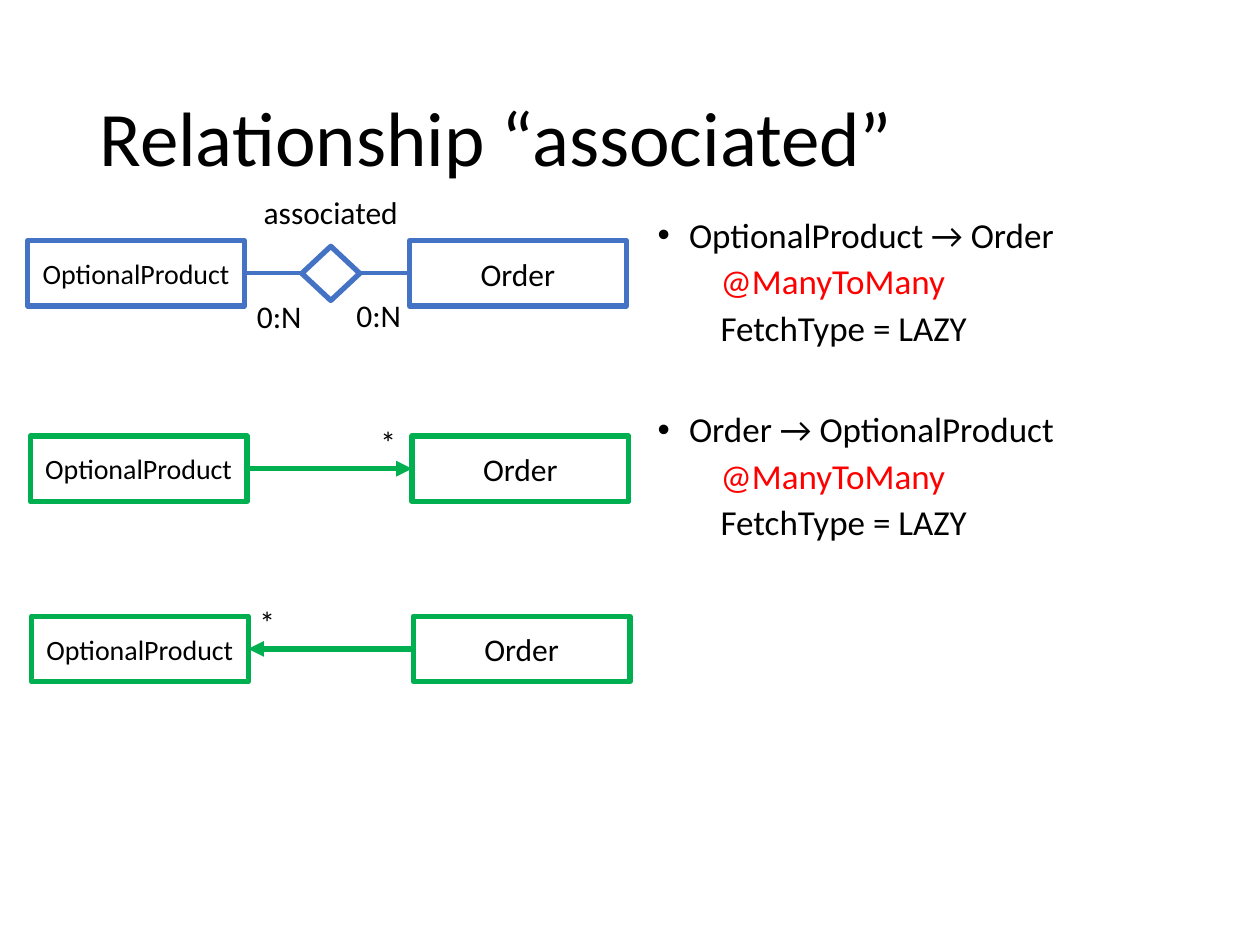
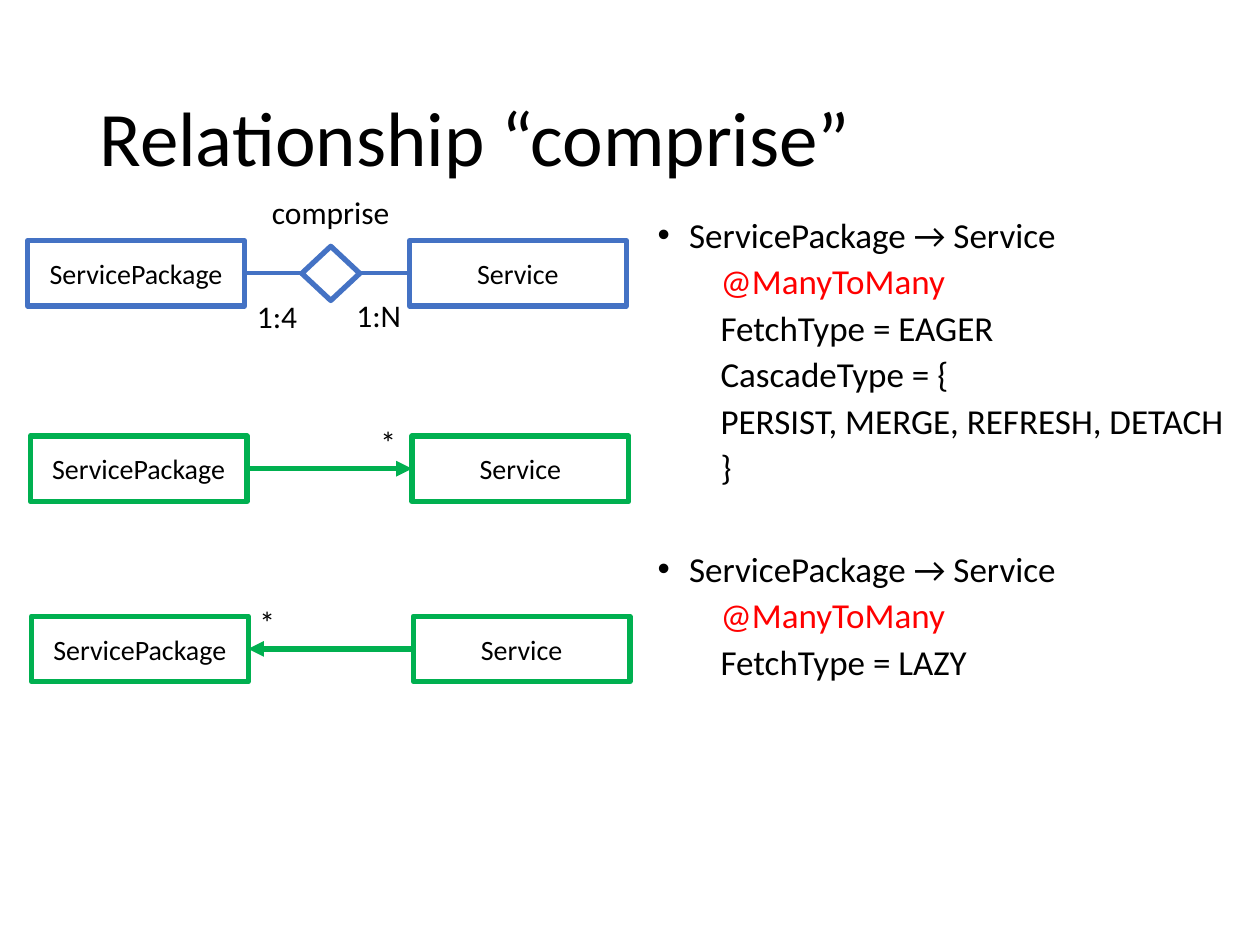
"""Builds two slides that map entity relationships to JPA annotations."""
import pptx
import pptx.dml.color
import pptx.enum.shapes
import pptx.enum.text
import pptx.oxml.ns
import pptx.util
from lxml import etree

PX = 9144
FONT = "Calibri"
COLORS = {"text": "000000", "accent": "FF0000", "paper": "FFFFFF",
          "entity": "4472C4", "object": "00B050"}
BOX_W, BOX_H, BOX_STEP = 172, 52, 303
TITLE_BOX = (69, 40, 862, 145)
ALIGN = pptx.enum.text.PP_ALIGN
ANCHOR = pptx.enum.text.MSO_ANCHOR
FIT = pptx.enum.text.MSO_AUTO_SIZE
SHAPE = pptx.enum.shapes.MSO_SHAPE


def emu(*lengths):
    """Turn px lengths into EMU."""
    return [pptx.util.Emu(n * PX) for n in lengths]


def rgb(name):
    """Look up a palette colour."""
    return pptx.dml.color.RGBColor.from_string(COLORS[name])


def style(p, size, color="text", align=ALIGN.LEFT):
    """Format a paragraph and its runs."""
    p.alignment = align
    for r in p.runs:
        r.font.name = FONT
        r.font.size = pptx.util.Pt(size)
        r.font.color.rgb = rgb(color)


def add_outline(s, kind, box, color, fill=None):
    """Add a preset shape with a thick outline."""
    sp = s.shapes.add_shape(kind, *emu(*box))
    sp.shadow.inherit = False
    if fill:
        sp.fill.solid()
        sp.fill.fore_color.rgb = rgb(fill)
    else:
        sp.fill.background()
    sp.line.color.rgb = rgb(color)
    sp.line.width = pptx.util.Pt(3)
    return sp


def add_line(s, x1, x2, y, color, width, arrow=False):
    """Add a horizontal line, optionally with an arrowhead at x2."""
    cx = s.shapes.add_connector(pptx.enum.shapes.MSO_CONNECTOR.STRAIGHT,
                                *emu(x1, y, x2, y))
    cx.line.color.rgb = rgb(color)
    cx.line.width = pptx.util.Pt(width)
    if arrow:
        etree.SubElement(cx.line._get_or_add_ln(),
                         pptx.oxml.ns.qn("a:tailEnd"), type="triangle")
    etree.SubElement(cx._element.spPr, pptx.oxml.ns.qn("a:effectLst"))


def add_label(s, text, x, y, w, align=ALIGN.LEFT):
    """Add a one-line label."""
    tf = s.shapes.add_textbox(*emu(x, y, w, 40)).text_frame
    tf.word_wrap = False
    tf.auto_size = FIT.SHAPE_TO_FIT_TEXT
    tf.text = text
    style(tf.paragraphs[0], 18, align=align)


def add_pair(s, x, y, entities, color, fill=None):
    """Add the two named boxes of a diagram row."""
    for i, (name, size) in enumerate(entities):
        box = (x + i * BOX_STEP, y, BOX_W, BOX_H)
        tf = add_outline(s, SHAPE.RECTANGLE, box, color, fill).text_frame
        tf.word_wrap = True
        tf.vertical_anchor = ANCHOR.MIDDLE
        tf.text = name
        style(tf.paragraphs[0], size, align=ALIGN.CENTER)


def add_er_row(s, x, y, entities, relation, counts):
    """Add the entity-relationship row with its diamond and cardinalities."""
    add_pair(s, x, y, entities, "entity", "paper")
    diamond = add_outline(s, SHAPE.DIAMOND, (x + 219, y + 3, 43, 46),
                          "entity", "paper")
    diamond.rotation = 90
    mid = y + BOX_H // 2
    add_line(s, x + BOX_W, x + 218, mid, "entity", 2.25)
    add_line(s, x + 264, x + BOX_STEP, mid, "entity", 2.25)
    add_label(s, counts[0], x + BOX_W, y + 40, 56)
    add_label(s, counts[1], x + 251, y + 39, 56)
    add_label(s, relation, x + 177, y - 43, 127, ALIGN.CENTER)


def add_reference_row(s, x, y, entities, forward):
    """Add an object row whose arrow points to the referenced side."""
    add_pair(s, x, y, entities, "object")
    ends = (x + BOX_W, x + BOX_STEP)
    start, end = ends if forward else ends[::-1]
    add_line(s, start, end, y + BOX_H // 2, "object", 3, arrow=True)
    add_label(s, "*", x + 268 if forward else x + BOX_W - 1, y - 15, 33)


def add_mappings(s, box, mappings):
    """Add the bulleted directions with their indented settings."""
    tf = s.shapes.add_textbox(*emu(*box)).text_frame
    tf.word_wrap = True
    rows = [(i, j, line) for i, lines in enumerate(mappings)
            for j, line in enumerate(lines)]
    tf.text = "\n".join(line for _, _, line in rows)
    for p, (i, j, line) in zip(tf.paragraphs, rows):
        style(p, 20, "accent" if line.startswith("@") else "text")
        p.line_spacing = 0.9
        pPr = p._p.get_or_add_pPr()
        if j:
            p.level = 1
            p.space_before = pptx.util.Pt(5)
            margin, indent = emu(50, 0)
        else:
            p.space_before = pptx.util.Pt(36.5 if i else 10)
            margin, indent = emu(25, -25)
            etree.SubElement(pPr, pptx.oxml.ns.qn("a:buFont"), typeface="Arial")
            etree.SubElement(pPr, pptx.oxml.ns.qn("a:buChar"), char="•")
        pPr.set("marL", str(margin))
        pPr.set("indent", str(indent))


def add_title(s, text):
    """Place and format the title placeholder."""
    sp = s.shapes.title
    sp.left, sp.top, sp.width, sp.height = emu(*TITLE_BOX)
    tf = sp.text_frame
    tf.text = text
    tf.auto_size = FIT.NONE
    tf.vertical_anchor = ANCHOR.MIDDLE
    p = tf.paragraphs[0]
    p.line_spacing = 0.9
    style(p, 44)


def add_relationship_slide(prs, relation, entities, counts, mappings, text_w):
    """Add one relationship slide."""
    s = prs.slides.add_slide(prs.slide_layouts[5])
    add_title(s, f"Relationship “{relation}”")
    add_mappings(s, (512, 168, text_w, 476), mappings)
    add_er_row(s, 22, 191, entities, relation, counts)
    add_reference_row(s, 24, 346, entities, forward=True)
    add_reference_row(s, 25, 489, entities, forward=False)


def main():
    """Build and save the presentation."""
    prs = pptx.Presentation()
    prs.slide_width, prs.slide_height = emu(1000, 750)
    lazy = ["@ManyToMany", "FetchType = LAZY"]
    eager = ["@ManyToMany", "FetchType = EAGER", "CascadeType = {",
             "PERSIST, MERGE, REFRESH, DETACH", "}"]
    add_relationship_slide(
        prs, "associated", [("OptionalProduct", 16), ("Order", 18)],
        ("0:N", "0:N"),
        [["OptionalProduct → Order", *lazy],
         ["Order → OptionalProduct", *lazy]], 471)
    add_relationship_slide(
        prs, "comprise", [("ServicePackage", 16), ("Service", 16)],
        ("1:4", "1:N"),
        [["ServicePackage → Service", *eager],
         ["ServicePackage → Service", *lazy]], 479)
    prs.save("out.pptx")


if __name__ == "__main__":
    main()
